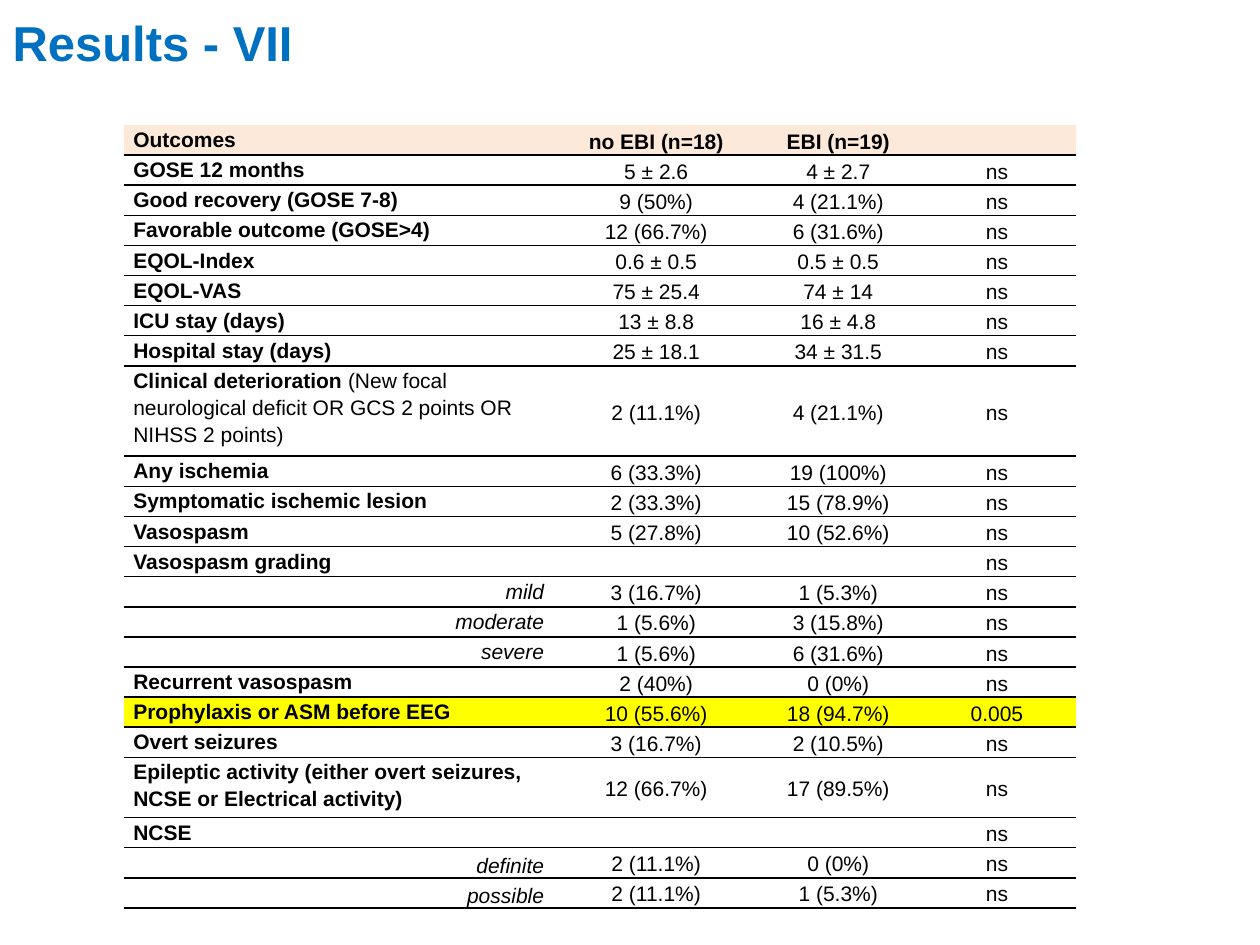
from lxml.etree import SubElement
from pptx import Presentation
from pptx.dml.color import RGBColor
from pptx.enum.text import MSO_ANCHOR, MSO_AUTO_SIZE, PP_ALIGN
from pptx.oxml.ns import qn
from pptx.util import Pt

TOP, MIDDLE, BOTTOM = MSO_ANCHOR.TOP, MSO_ANCHOR.MIDDLE, MSO_ANCHOR.BOTTOM
LEFT, CENTER, RIGHT = PP_ALIGN.LEFT, PP_ALIGN.CENTER, PP_ALIGN.RIGHT
NO_FIT = MSO_AUTO_SIZE.NONE

COLORS = {"title": "0070C0", "text": "000000", "rule": "000000",
          "head": "FDE9D9", "mark": "FFFF00"}
NO_STYLE = "{2D5ABB26-0587-4C30-8999-92F81FD0307C}"
FONT = "Arial"
SIZE = 12
WIDTHS = (245.5, 117.4, 90.7, 90.7)
UNIT = 17.22  # height of a one-line row

HEADER = ("Outcomes", "no EBI (n=18)", "EBI (n=19)", "")
OUTCOMES = [
    ("GOSE 12 months", "5 ± 2.6", "4 ± 2.7", "ns"),
    ("Good recovery (GOSE 7-8)", "9 (50%)", "4 (21.1%)", "ns"),
    ("Favorable outcome (GOSE>4)", "12 (66.7%)", "6 (31.6%)", "ns"),
    ("EQOL-Index", "0.6 ± 0.5", "0.5 ± 0.5", "ns"),
    ("EQOL-VAS", "75 ± 25.4", "74 ± 14", "ns"),
    ("ICU stay (days)", "13 ± 8.8", "16 ± 4.8", "ns"),
    ("Hospital stay (days)", "25 ± 18.1", "34 ± 31.5", "ns"),
    ("Clinical deterioration ", "2 (11.1%)", "4 (21.1%)", "ns"),
    ("Any ischemia", "6 (33.3%)", "19 (100%)", "ns"),
    ("Symptomatic ischemic lesion", "2 (33.3%)", "15 (78.9%)", "ns"),
    ("Vasospasm", "5 (27.8%)", "10 (52.6%)", "ns"),
    ("Vasospasm grading", "", "", "ns"),
    ("mild", "3 (16.7%)", "1 (5.3%)", "ns"),
    ("moderate", "1 (5.6%)", "3 (15.8%)", "ns"),
    ("severe", "1 (5.6%)", "6 (31.6%)", "ns"),
    ("Recurrent vasospasm", "2 (40%)", "0 (0%)", "ns"),
    ("Prophylaxis or ASM before EEG", "10 (55.6%)", "18 (94.7%)", "0.005"),
    ("Overt seizures", "3 (16.7%)", "2 (10.5%)", "ns"),
    ("Epileptic activity (either overt seizures, NCSE or Electrical activity)",
     "12 (66.7%)", "17 (89.5%)", "ns"),
    ("NCSE", "", "", "ns"),
    ("definite", "2 (11.1%)", "0 (0%)", "ns"),
    ("possible", "2 (11.1%)", "1 (5.3%)", "ns"),
]
GRADES = {"mild": TOP, "moderate": TOP, "severe": TOP,
          "definite": BOTTOM, "possible": BOTTOM}
DETAILS = {"Clinical deterioration ":
           "(New focal neurological deficit OR GCS 2 points OR NIHSS 2 points)"}
LINES = {"Clinical deterioration ": 3, OUTCOMES[18][0]: 2}
MARKED = "Prophylaxis or ASM before EEG"


def add_text(para, text, size=SIZE, color="text", bold=False, italic=False,
             align=LEFT, space=None):
    para.alignment = align
    para.line_spacing = space
    run = para.add_run()
    run.text = text
    font = run.font
    font.name, font.size = FONT, Pt(size)
    font.bold, font.italic = bold, italic
    font.color.rgb = RGBColor.from_string(COLORS[color])


def add_title(slide, text):
    title = slide.shapes.title
    title.left, title.top = Pt(0), Pt(3.6)
    title.width, title.height = Pt(657.4), Pt(90)
    frame = title.text_frame
    frame.auto_size = NO_FIT
    frame.vertical_anchor = TOP
    add_text(frame.paragraphs[0], text, size=28, color="title", bold=True)


def rule_below(cell):
    line = SubElement(cell._tc.get_or_add_tcPr(), qn("a:lnB"), w=str(Pt(1)))
    fill = SubElement(line, qn("a:solidFill"))
    SubElement(fill, qn("a:srgbClr"), val=COLORS["rule"])


def fill_cell(cell, text, fill=None, anchor=MIDDLE, detail="", **style):
    cell.margin_left = cell.margin_right = Pt(5.4)
    cell.margin_top = cell.margin_bottom = Pt(0)
    cell.vertical_anchor = anchor
    rule_below(cell)
    if fill:
        cell.fill.solid()
        cell.fill.fore_color.rgb = RGBColor.from_string(COLORS[fill])
    else:
        cell.fill.background()
    para = cell.text_frame.paragraphs[0]
    if text:
        add_text(para, text, space=1.15, **style)
    else:  # keeps the empty cell from stretching its row
        SubElement(para._p, qn("a:endParaRPr"), sz=str(SIZE * 100))
    if detail:
        add_text(para, detail, space=1.15)


def fill_row(cells, row):
    name = row[0]
    head = row is HEADER
    grade = name in GRADES
    fill = "head" if head else "mark" if name == MARKED else None
    fill_cell(cells[0], name, fill=fill, anchor=GRADES.get(name, TOP),
              detail=DETAILS.get(name, ""), bold=not grade, italic=grade,
              align=RIGHT if grade else LEFT)
    for cell, value in zip(cells[1:], row[1:]):
        fill_cell(cell, value, fill=fill, bold=head, align=CENTER)


def add_table(slide, rows):
    heights = [UNIT * LINES.get(row[0], 1) for row in rows]
    table = slide.shapes.add_table(
        len(rows), len(WIDTHS), Pt(70.8), Pt(71.4),
        Pt(sum(WIDTHS)), Pt(sum(heights))).table
    table.horz_banding = False
    table._tbl.tblPr.find(qn("a:tableStyleId")).text = NO_STYLE
    for col, width in zip(table.columns, WIDTHS):
        col.width = Pt(width)
    for line, height, row in zip(table.rows, heights, rows):
        line.height = Pt(height)
        fill_row(list(line.cells), row)


def main():
    deck = Presentation()
    deck.slide_width, deck.slide_height = Pt(720), Pt(540)
    slide = deck.slides.add_slide(deck.slide_layouts[5])
    add_title(slide, "Results - VII")
    add_table(slide, [HEADER, *OUTCOMES])
    deck.save("out.pptx")


if __name__ == "__main__":
    main()
